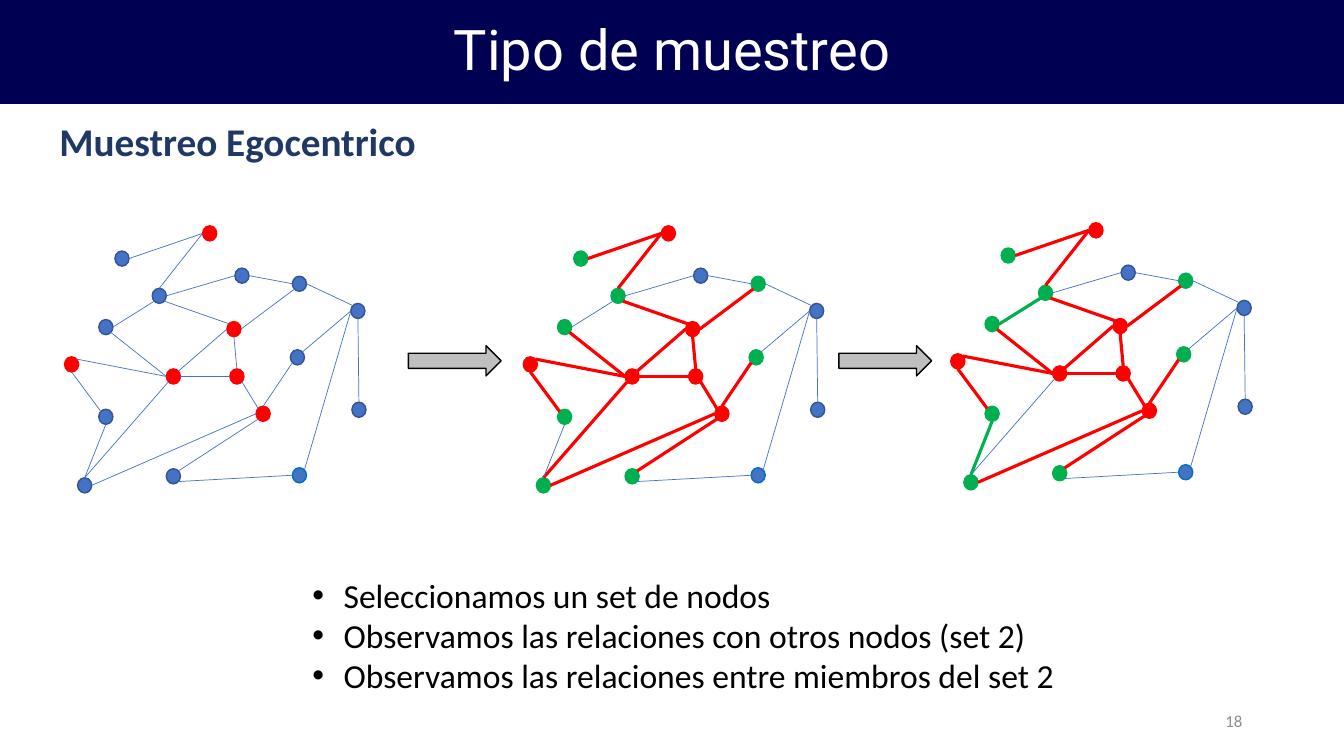
import pptx
import pptx.util
import pptx.dml.color
import pptx.enum.shapes
import pptx.enum.text
import pptx.oxml
import pptx.oxml.ns

Inches = pptx.util.Inches
Pt = pptx.util.Pt
ALIGN = pptx.enum.text.PP_ALIGN
SHAPE = pptx.enum.shapes.MSO_SHAPE

RED, GREEN, BLUE, NAVY = "FF0000", "00B050", "4472C4", "000053"
NODE_W, NODE_H = 0.14, 0.15

# Node positions inside a network's box (left, top)
NODES = {
    "A": (1.37, 0), "B": (0.34, 0.93), "C": (1.01, 1.42), "D": (0.34, 1.82),
    "E": (0.87, 0.62), "F": (1.9, 1.79), "G": (1.01, 2.41), "H": (1.61, 0.95),
    "I": (2.26, 2.4), "J": (2.24, 1.23), "K": (0.13, 2.5), "L": (2.84, 0.77),
    "M": (2.26, 0.5), "N": (0.5, 0.25), "O": (0, 1.3), "P": (1.64, 1.42),
    "Q": (1.69, 0.42), "R": (2.85, 1.75),
}

# Each edge joins two nodes, each at a compass point of its rim
EDGES = [tuple(end.split(".") for end in edge.split("-")) for edge in (
    "E.n-A.w C.w-B.se C.ne-H.w H.e-M.sw K.n-C.sw K.n-D.s F.n-J.sw G.ne-F.sw "
    "K.e-F.w G.se-I.w I.ne-L.w B.e-E.sw H.nw-E.se J.ne-L.w N.e-A.w O.ne-C.w "
    "O.s-D.nw R.n-L.s P.n-H.s Q.e-M.w E.e-Q.w P.se-F.nw M.e-L.nw C.e-P.w"
).split()]

RIM = {"n": (0.5, 0), "ne": (0.85, 0.15), "e": (1, 0.5), "se": (0.85, 0.85),
       "s": (0.5, 1), "sw": (0.15, 0.85), "w": (0, 0.5), "nw": (0.15, 0.15)}

EGOS = set("ACFHOP")
ALTERS = {n for (a, _), (b, _) in EDGES if EGOS & {a, b} for n in (a, b)} - EGOS


def rgb(value):
    return pptx.dml.color.RGBColor.from_string(value)


def paint(sp, fill, line, width=1):
    sp.shadow.inherit = False
    sp.fill.solid()
    sp.fill.fore_color.rgb = rgb(fill)
    sp.line.color.rgb = rgb(line)
    sp.line.width = Pt(width)


def add_run(p, text, size, color, font="Calibri", bold=False):
    r = p.add_run()
    r.text = text
    r.font.size = Pt(size)
    r.font.name = font
    r.font.bold = bold
    r.font.color.rgb = rgb(color)


def add_text_frame(slide, box, wrap=False):
    tf = slide.shapes.add_textbox(*map(Inches, box)).text_frame
    tf.word_wrap = wrap
    return tf


def add_title(slide, box, text):
    sp = slide.shapes.title
    sp.left, sp.top, sp.width, sp.height = map(Inches, box)
    sp.fill.solid()
    sp.fill.fore_color.rgb = rgb(NAVY)
    tf = sp.text_frame
    tf.vertical_anchor = pptx.enum.text.MSO_ANCHOR.MIDDLE
    p = tf.paragraphs[0]
    p.alignment = ALIGN.CENTER
    p.line_spacing = 0.9
    add_run(p, text, 40, "FFFFFF", "Roboto")


def add_subtitle(slide, box, text):
    tf = add_text_frame(slide, box)
    add_run(tf.paragraphs[0], text, 28, "203864", bold=True)


def add_bullets(slide, box, lines):
    tf = add_text_frame(slide, box)
    for i, line in enumerate(lines):
        p = tf.add_paragraph() if i else tf.paragraphs[0]
        add_run(p, line, 24, "000000")
        pPr = p._p.get_or_add_pPr()
        pPr.set("marL", str(Inches(0.31)))
        pPr.set("indent", str(-Inches(0.31)))
        for tag, key, value in (("a:buFont", "typeface", "Arial"),
                                ("a:buChar", "char", "•")):
            bullet = pptx.oxml.ns.qn(tag)
            pPr.makeelement(bullet)
            pPr.append(pPr.makeelement(bullet, {key: value}))


def add_page_number(slide, box, number):
    tf = add_text_frame(slide, box, wrap=True)
    tf.vertical_anchor = pptx.enum.text.MSO_ANCHOR.MIDDLE
    p = tf.paragraphs[0]
    p.alignment = ALIGN.RIGHT
    add_run(p, number, 12, "8C8C8C")


def node_colors(name, stage):
    if name in EGOS:
        return RED, RED
    if stage > 1 and name in ALTERS:
        return GREEN, GREEN
    return BLUE, "0070C0" if name == "I" else "325491"


def edge_style(a, b, stage):
    ends = {a, b}
    if stage == 3 and ends == {"K", "C"}:  # left unobserved in the last stage
        return BLUE, 0.5
    if stage > 1 and ends & EGOS:
        return RED, 2.25
    if stage == 3 and ends <= ALTERS:
        return GREEN, 2.25
    return BLUE, 0.5


def add_network(slide, left, top, stage):
    shapes = slide.shapes.add_group_shape().shapes

    def rim_point(name, side):
        x, y = NODES[name]
        fx, fy = RIM[side]
        return Inches(left + x + fx * NODE_W), Inches(top + y + fy * NODE_H)

    # Nodes
    for name, (x, y) in NODES.items():
        sp = shapes.add_shape(SHAPE.OVAL, Inches(left + x), Inches(top + y),
                              Inches(NODE_W), Inches(NODE_H))
        paint(sp, *node_colors(name, stage))
    # Relations
    for (a, a_side), (b, b_side) in EDGES:
        line = shapes.add_connector(pptx.enum.shapes.MSO_CONNECTOR.STRAIGHT,
                                    *rim_point(a, a_side), *rim_point(b, b_side))
        color, width = edge_style(a, b, stage)
        line.line.color.rgb = rgb(color)
        line.line.width = Pt(width)
        spPr = line._element.spPr
        spPr.append(spPr.makeelement(pptx.oxml.ns.qn("a:effectLst")))


def add_arrow(slide, box):
    sp = slide.shapes.add_shape(SHAPE.RIGHT_ARROW, *map(Inches, box))
    paint(sp, "BFBFBF", "000000")


def main():
    prs = pptx.Presentation()
    prs.slide_width, prs.slide_height = Inches(13.33), Inches(7.5)
    slide = prs.slides.add_slide(prs.slide_layouts[5])

    # Headings
    add_title(slide, (0, 0, 13.33, 1.03), "Tipo de muestreo")
    add_subtitle(slide, (0.49, 1.11, 3.78, 0.57), "Muestreo Egocentrico")

    # Three sampling stages
    for stage, (left, top) in enumerate(((0.64, 2.24), (5.19, 2.24), (9.43, 2.21)), 1):
        add_network(slide, left, top, stage)
    for left in (4.05, 8.32):
        add_arrow(slide, (left, 3.43, 0.92, 0.3))

    # Explanation and page number
    add_bullets(slide, (3, 5.65, 7.63, 1.31), (
        "Seleccionamos un set de nodos",
        "Observamos las relaciones con otros nodos (set 2)",
        "Observamos las relaciones entre miembros del set 2",
    ))
    add_page_number(slide, (9.42, 6.95, 3, 0.4), "18")
    prs.save("out.pptx")


if __name__ == "__main__":
    main()
